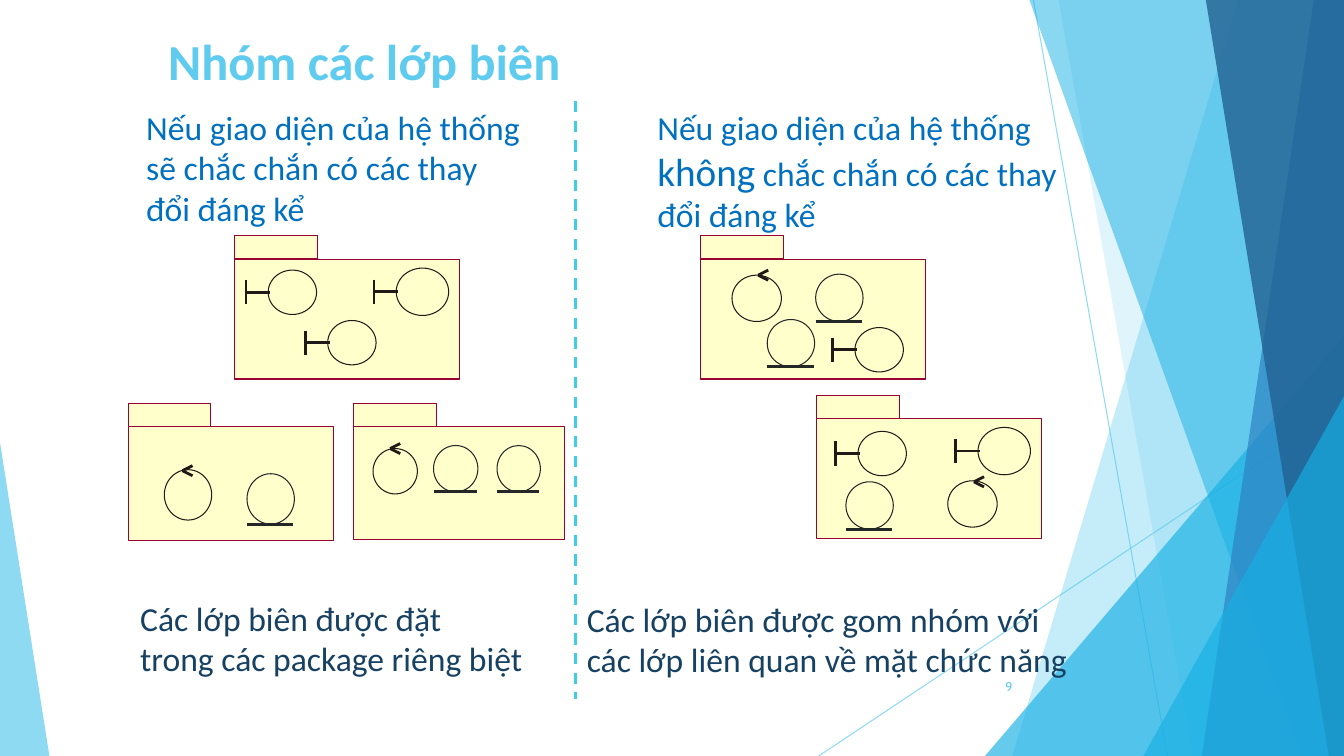
from lxml import etree
from pptx import Presentation
from pptx.dml.color import RGBColor
from pptx.enum import dml, shapes, text
from pptx.oxml import ns
from pptx.util import Inches, Pt

SKY = RGBColor(0x5F, 0xCB, 0xEF)
AZURE = RGBColor(0x17, 0xB0, 0xE4)
BLUE = RGBColor(0x2E, 0x83, 0xC3)
NAVY = RGBColor(0x22, 0x62, 0x92)
DIVIDER = RGBColor(0x3F, 0xCD, 0xE7)
CONDITION = RGBColor(0x00, 0x70, 0xC0)
OUTCOME = RGBColor(0x17, 0x41, 0x62)
CREAM = RGBColor(0xFF, 0xFF, 0xCC)
CRIMSON = RGBColor(0x99, 0x00, 0x33)
INK = RGBColor(0x1F, 0x1A, 0x17)
ENTITY_INK = RGBColor(0x24, 0x27, 0x28)

W, H = 13.33, 7.5

# Background: rays (from, to), then facets from back to front
RAYS = [((10.25, 0), (11.58, H)), ((W, 4.03), (8.12, H))]
FACETS = [  # corners, colour, opacity in percent
    ([(12.28, 0), (W, 0), (W, H), (10.04, H)], SKY, 36),
    ([(10.5, 0), (W, 0), (W, H), (11.83, H)], SKY, 20),
    ((9.77, 3.33, 3.56, 4.17, 1), AZURE, 66),  # triangle: box and apex
    ([(10.21, 0), (W, 0), (W, H), (12.91, H)], AZURE, 50),
    ([(13.03, 0), (W, 0), (W, H), (11.92, H)], BLUE, 70),
    ([(11.96, 0), (W, 0), (W, H), (13.18, H)], NAVY, 80),
    ((11.34, 3.93, 1.99, 3.57, 1), AZURE, 66),
    ((0, 4.39, 0.49, 3.11, 0), SKY, 70),
]

# Texts: box, paragraphs of (words, size) runs, colour, wrapped
TEXTS = [
    ((1.33, 1, 3.98, 1.33),
     [[("Nếu giao diện của hệ thống sẽ chắc chắn có các thay đổi đáng kể", 24)]],
     CONDITION, True),
    ((6.4, 1, 4.33, 1.4),
     [[("Nếu giao diện của hệ thống ", 24), ("không", 28),
       (" chắc chắn có các thay đổi đáng kể", 24)]],
     CONDITION, True),
    ((1.27, 5.87, 4.06, 0.93),
     [[("Các lớp biên được đặt", 24)], [("trong các package riêng biệt", 24)]],
     OUTCOME, False),
    ((5.7, 5.88, 5.04, 0.93),
     [[("Các lớp biên được gom nhóm với", 24)],
      [("các lớp liên quan về mặt chức năng", 24)]],
     OUTCOME, False),
]

# Packages: body box, then classes (kind, circle box, arrow tip for control)
PACKAGES = [
    ((2.33, 2.57, 2.23, 1.19), [
        ("boundary", (3.93, 2.66, 0.52, 0.47)),
        ("boundary", (3.25, 3.18, 0.48, 0.44)),
        ("boundary", (2.66, 2.68, 0.48, 0.44))]),
    ((1.27, 4.23, 2.04, 1.13), [
        ("control", (1.63, 4.66, 0.47, 0.5), (1.81, 4.67)),
        ("entity", (2.45, 4.7, 0.47, 0.5))]),
    ((3.51, 4.23, 2.09, 1.12), [
        ("control", (3.7, 4.45, 0.44, 0.45), (3.87, 4.45)),
        ("entity", (4.93, 4.42, 0.43, 0.46)),
        ("entity", (4.3, 4.42, 0.44, 0.46))]),
    ((6.95, 2.57, 2.23, 1.19), [
        ("control", (7.26, 2.73, 0.49, 0.46), (7.52, 2.73)),
        ("entity", (8.09, 2.72, 0.47, 0.47)),
        ("boundary", (8.48, 3.25, 0.48, 0.44)),
        ("entity", (7.61, 3.17, 0.47, 0.47))]),
    ((8.1, 4.15, 2.23, 1.19), [
        ("boundary", (9.7, 4.24, 0.52, 0.47)),
        ("boundary", (8.51, 4.28, 0.48, 0.44)),
        ("entity", (8.39, 4.78, 0.47, 0.47)),
        ("control", (9.4, 4.77, 0.49, 0.46), (9.66, 4.78))]),
]
TAB_W, TAB_H = 0.82, 0.23

deck = Presentation()
deck.slide_width, deck.slide_height = Inches(W), Inches(H)
slide = deck.slides.add_slide(deck.slide_layouts[6])


def set_opacity(fill_parent, percent):
    for colour in fill_parent.iter(ns.qn("a:srgbClr")):
        etree.SubElement(colour, ns.qn("a:alpha"), val=str(percent * 1000))


def add_line(start, end, colour, width=0):
    line = slide.shapes.add_connector(
        shapes.MSO_CONNECTOR.STRAIGHT, *map(Inches, start + end))
    line.line.color.rgb = colour
    line.line.width = Pt(width)
    etree.SubElement(line._element.spPr, ns.qn("a:effectLst"))
    return line


def add_outlined(preset, box, colour):
    shape = slide.shapes.add_shape(preset, *map(Inches, box))
    shape.shadow.inherit = False
    shape.fill.solid()
    shape.fill.fore_color.rgb = CREAM
    shape.line.color.rgb = colour
    shape.line.width = Pt(0)


def add_text(box, paragraphs, colour, wrap=True, font="Calibri", bold=False,
             insets=(0.12, 0.06), align=text.PP_ALIGN.LEFT,
             anchor=text.MSO_ANCHOR.TOP):
    frame = slide.shapes.add_textbox(*map(Inches, box)).text_frame
    frame.word_wrap = wrap
    frame.vertical_anchor = anchor
    frame.margin_left = frame.margin_right = Inches(insets[0])
    frame.margin_top = frame.margin_bottom = Inches(insets[1])
    for i, runs in enumerate(paragraphs):
        paragraph = frame.add_paragraph() if i else frame.paragraphs[0]
        paragraph.alignment = align
        for words, size in runs:
            run = paragraph.add_run()
            run.text = words
            run.font.name, run.font.size, run.font.bold = font, Pt(size), bold
            run.font.color.rgb = colour


def add_class(kind, circle, tip=None):
    x, y, w, h = circle
    ink = ENTITY_INK if kind == "entity" else INK
    add_outlined(shapes.MSO_SHAPE.OVAL, circle, ink)
    if kind == "entity":
        add_line((x, y + h), (x + w - 0.01, y + h), ink)
    elif kind == "boundary":
        bar, middle = x - 0.22, y + h / 2
        add_line((bar, middle - 0.12), (bar, middle + 0.12), ink)
        add_line((bar, middle), (x + 0.02, middle), ink)
    else:
        for rise in (-0.05, 0.05):
            add_line((tip[0] + 0.1, tip[1] + rise), tip, ink)


# Background
for start, end in RAYS:
    set_opacity(add_line(start, end, SKY, 0.75)._element.spPr, 70)
for outline, colour, opacity in FACETS:
    if isinstance(outline, list):
        corners = [(Inches(x), Inches(y)) for x, y in outline]
        builder = slide.shapes.build_freeform(*corners[0])
        builder.add_line_segments(corners[1:], close=True)
        facet = builder.convert_to_shape()
    else:
        facet = slide.shapes.add_shape(
            shapes.MSO_SHAPE.ISOSCELES_TRIANGLE, *map(Inches, outline[:4]))
        facet.adjustments[0] = outline[4]
    facet.shadow.inherit = False
    facet.fill.solid()
    facet.fill.fore_color.rgb = colour
    facet.line.fill.background()
    set_opacity(facet._element.spPr, opacity)

# Title, texts and divider
add_text((1.57, 0.25, 9, 0.61), [[("Nhóm các lớp biên", 36)]], SKY,
         bold=True, insets=(0.1, 0.05))
for box, paragraphs, colour, wrap in TEXTS:
    add_text(box, paragraphs, colour, wrap)
divider = add_line((5.71, 1), (5.71, 6.93), DIVIDER, 2)
divider.line.dash_style = dml.MSO_LINE.DASH

# Packages with their classes
for body, classes in PACKAGES:
    add_outlined(shapes.MSO_SHAPE.RECTANGLE, body, CRIMSON)
    add_outlined(shapes.MSO_SHAPE.RECTANGLE,
                 (body[0], body[1] - TAB_H, TAB_W, TAB_H), CRIMSON)
    for member in classes:
        add_class(*member)

# Slide number
add_text((9.39, 6.61, 0.75, 0.4), [[("9", 9)]], SKY, font="Cabin",
         insets=(0.1, 0.05), align=text.PP_ALIGN.RIGHT,
         anchor=text.MSO_ANCHOR.MIDDLE)

deck.save("out.pptx")
